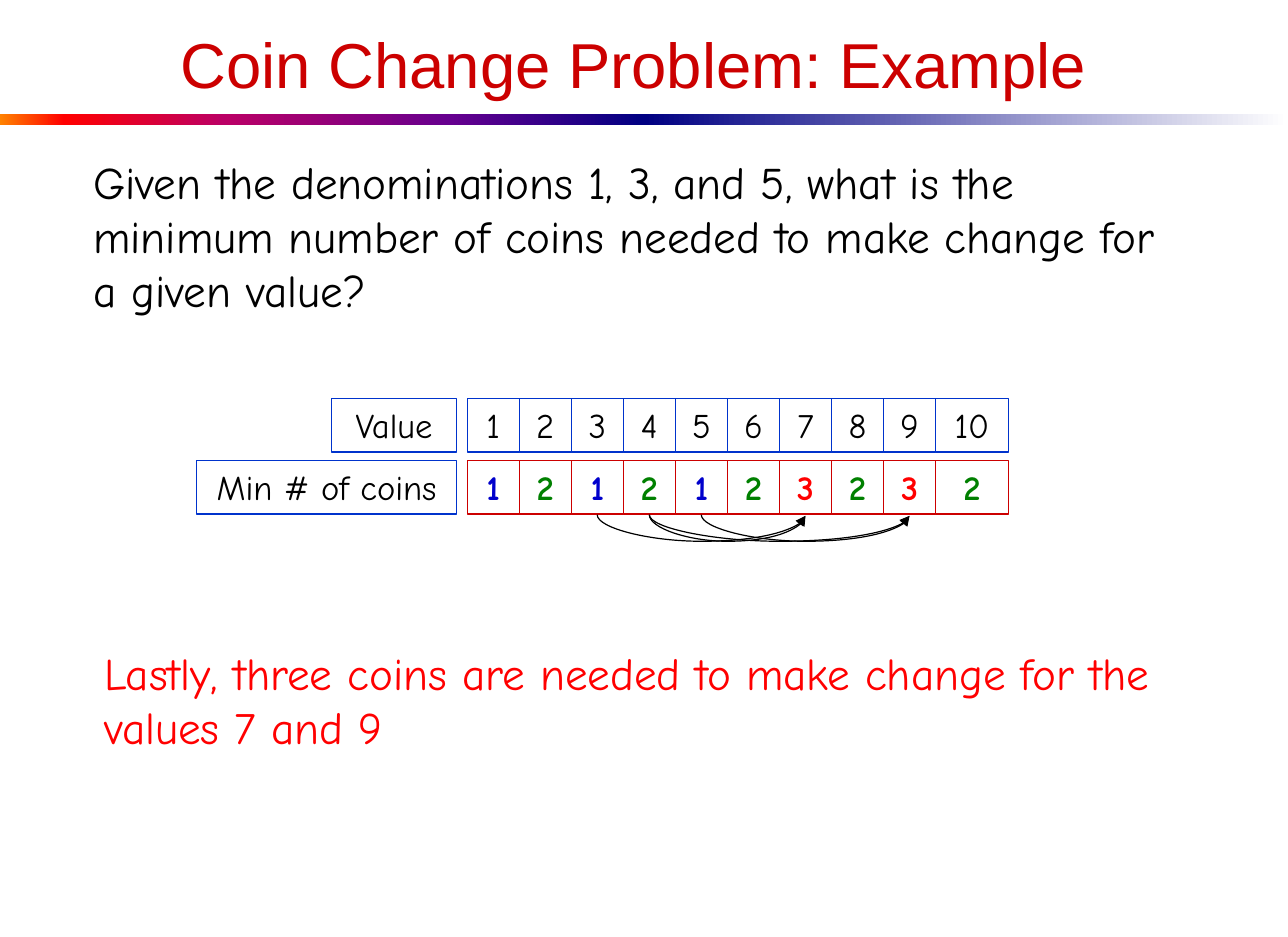
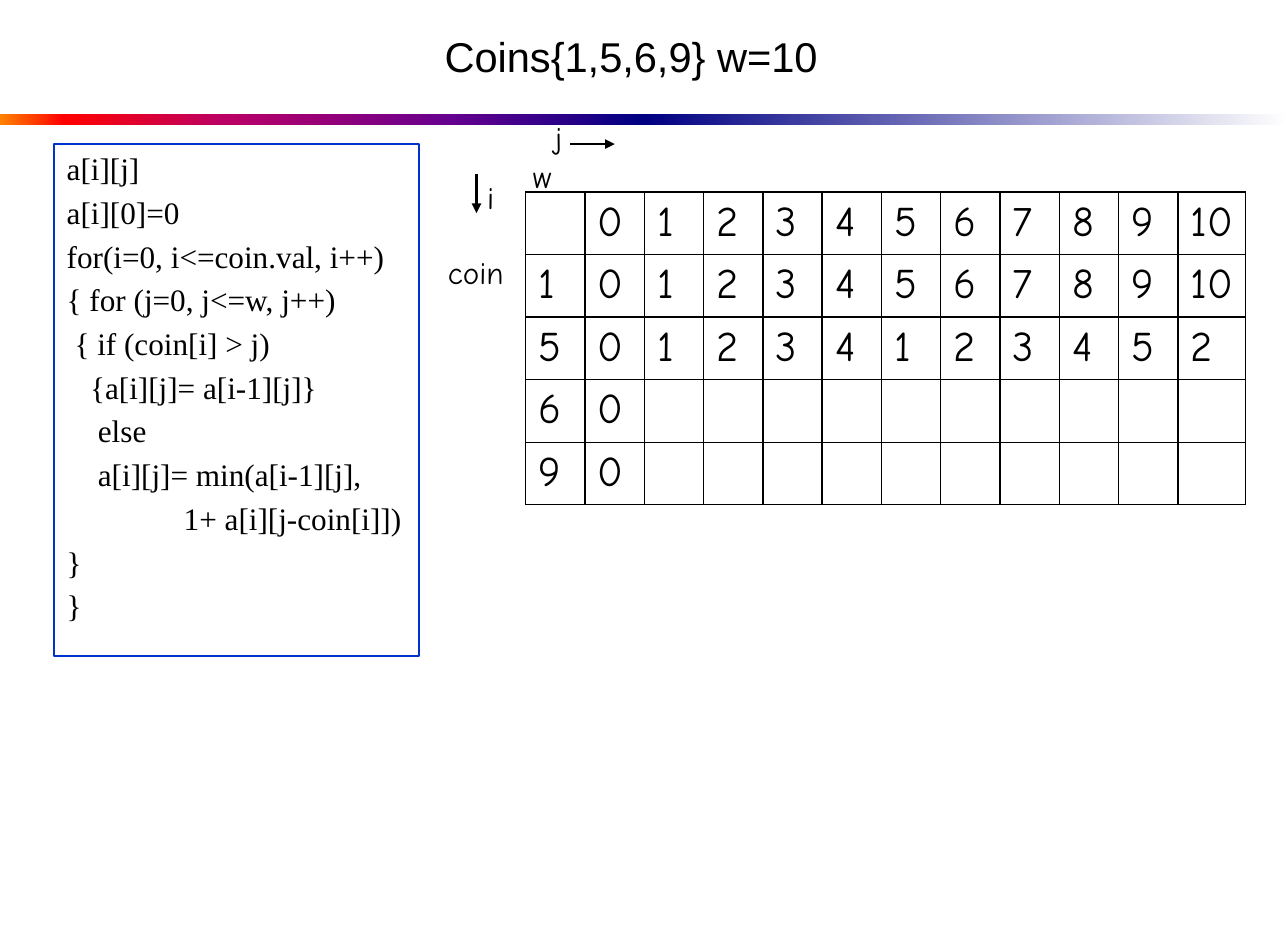
from pptx import Presentation, util as u
from pptx.dml.color import RGBColor
from pptx.enum import shapes, text
from pptx.oxml import parse_xml
from pptx.oxml.ns import nsdecls, qn

BLACK = RGBColor(0, 0, 0)
RED = RGBColor(255, 0, 0)
DARK = RGBColor(204, 0, 0)
GREEN = RGBColor(0, 128, 0)
NAVY = RGBColor(0, 0, 204)
BLUE = RGBColor(0, 51, 204)
MID = text.PP_ALIGN.CENTER
RIGHT = text.PP_ALIGN.RIGHT
COMIC = "Comic Neue"

prs = Presentation()
prs.slide_width, prs.slide_height = u.Inches(11), u.Inches(8)
COL, ROW = prs.slide_width / 11, prs.slide_height / 8


def put(page, words, at, size=21.3, font=COMIC, ink=BLACK, bold=False,
        align=text.PP_ALIGN.LEFT, edge=None, wide=0.75, gap=0, mid=False, pad=0.1):
    x, y, w, h = at
    place = int(x * COL), int(y * ROW), int(w * COL), int(h * ROW)
    if edge is None:
        box = page.shapes.add_textbox(*place)
    else:
        box = page.shapes.add_shape(shapes.MSO_SHAPE.RECTANGLE, *place)
        box.shadow.inherit = False
        box.fill.background()
        box.line.color.rgb = edge
        box.line.width = u.Pt(wide)
    frame = box.text_frame
    frame.word_wrap = True
    frame.margin_left = frame.margin_right = u.Inches(pad)
    frame.vertical_anchor = text.MSO_ANCHOR.MIDDLE if mid else text.MSO_ANCHOR.TOP
    for i, line in enumerate(words.split("\n")):
        para = frame.paragraphs[0] if i == 0 else frame.add_paragraph()
        para.alignment = align
        para.space_before = u.Pt(gap if i else 0)
        run = para.add_run()
        run.text = line
        run.font.name, run.font.size, run.font.bold = font, u.Pt(size), bold
        run.font.color.rgb = ink


def draw(page, kind, x1, y1, x2, y2, wide):
    line = page.shapes.add_connector(
        kind, int(x1 * COL), int(y1 * ROW), int(x2 * COL), int(y2 * ROW))
    line.line.color.rgb = BLACK
    line.line.width = u.Pt(wide)
    props = line._element.spPr
    props.find(qn("a:ln")).append(parse_xml(f'<a:tailEnd {nsdecls("a")} type="triangle"/>'))
    props.append(parse_xml(f'<a:effectLst {nsdecls("a")}/>'))
    return props


first, last = [prs.slides.add_slide(prs.slide_layouts[6]) for _ in range(2)]

BANDS = [
    [(0, "FF8200"), (10, "FF0000"), (35, "BA0066"), (70, "66008F"), (100, "000082")],
    [(0, "000082"), (100, "FFFFFF")],
]
for page in (first, last):
    for i, stops in enumerate(BANDS):
        band = page.shapes.add_shape(
            shapes.MSO_SHAPE.RECTANGLE, int(5.5 * i * COL), int(0.97 * ROW),
            int(5.5 * COL), int(0.1 * ROW))
        band.shadow.inherit = False
        band.line.fill.background()
        band.fill.gradient()
        band.fill.gradient_angle = 0
        marks = band._element.spPr.find(qn("a:gradFill")).find(qn("a:gsLst"))
        for old in list(marks):
            marks.remove(old)
        for pos, hue in stops:
            marks.append(parse_xml(
                f'<a:gs {nsdecls("a")} pos="{pos * 1000}"><a:srgbClr val="{hue}"/></a:gs>'))

put(first, "Coin Change Problem: Example", (0.7, 0.06, 9.42, 0.95),
    size=39, font="Arial", ink=DARK, align=MID, mid=True)
put(first, "Given the denominations 1, 3, and 5, what is the minimum number of coins "
    "needed to make change for a given value?", (0.7, 1.27, 9.42, 1.5), size=27.75)

LEFT, STEP, TALL = 3.99, 4 / 9, 0.46
TOPS = 3.4, 3.93
INKS = {1: NAVY, 2: GREEN, 3: RED}
for i, count in enumerate([1, 2, 1, 2, 1, 2, 3, 2, 3, 2]):
    x, w = LEFT + i * STEP, 0.62 if i == 9 else STEP
    put(first, str(i + 1), (x, TOPS[0], w, TALL), align=MID, edge=BLUE)
    put(first, str(count), (x, TOPS[1], w, TALL), align=MID, edge=DARK,
        ink=INKS[count], bold=True)
for name, top, w in zip(["Value", "Min # of coins"], TOPS, [1.07, 2.22]):
    put(first, name, (3.9 - w, top, w, TALL), align=MID, edge=BLUE)

for start, end in [(4, 7), (3, 7), (5, 9), (4, 9)]:
    x = LEFT + ((start + end) / 2 - 0.5) * STEP
    half = (end - start) * STEP / 2
    props = draw(first, shapes.MSO_CONNECTOR.CURVE, x + 0.005, 4.4 - half,
                 x - 0.005, 4.4 + half, 0.75)
    props.find(qn("a:xfrm")).set("rot", "16200000")
    bend = props.find(qn("a:prstGeom")).find(qn("a:avLst"))
    bend.append(parse_xml(f'<a:gd {nsdecls("a")} name="adj1" fmla="val 2300000"/>'))

put(first, "Lastly, three coins are needed to make change for the values 7 and 9",
    (0.79, 5.46, 9.42, 1.03), size=27.75, ink=RED)

put(last, "Coins{1,5,6,9} w=10", (0.43, 0.02, 9.92, 0.92),
    size=25.6, font="Arial", align=MID, mid=True)
CODE = """a[i][j]
a[i][0]=0
for(i=0, i<=coin.val, i++)
{ for (j=0, j<=w, j++)
 { if (coin[i] > j)
   {a[i][j]= a[i-1][j]}
    else
    a[i][j]= min(a[i-1][j],
               1+ a[i][j-coin[i]])
}
}"""
put(last, CODE, (0.46, 1.23, 3.12, 4.37), size=19.2, font="Times New Roman",
    edge=BLUE, wide=1.25, gap=3.84, pad=0.11)

ROWS = [
    ["", *range(11)],
    [1, *range(11)],
    [5, 0, 1, 2, 3, 4, 1, 2, 3, 4, 5, 2],
    [6, 0],
    [9, 0],
]
grid = last.shapes.add_table(
    5, 12, int(4.49 * COL), int(1.64 * ROW), int(6.15 * COL), int(2.67 * ROW)).table
grid.first_row = grid.horz_banding = False
for i, part in enumerate(grid.columns):
    part.width = int((0.58 if i == 11 else 5.57 / 11) * COL)
for r, vals in enumerate(ROWS):
    for c in range(12):
        cell = grid.cell(r, c)
        cell.margin_left, cell.margin_right = u.Inches(0.11), u.Inches(0.05)
        props = cell._tc.get_or_add_tcPr()
        for side in "LRTB":
            props.append(parse_xml(
                f'<a:ln{side} {nsdecls("a")} w="12700"><a:solidFill>'
                f'<a:srgbClr val="{BLACK}"/></a:solidFill></a:ln{side}>'))
        cell.fill.background()
        if c < len(vals):
            cell.text = str(vals[c])
        font = cell.text_frame.paragraphs[0].font
        font.name, font.size = COMIC, u.Pt(26)
        font.color.rgb = BLACK

for name, right, top in [("j", 4.9, 0.96), ("w", 4.81, 1.29),
                         ("i", 4.32, 1.47), ("coin", 4.4, 2.11)]:
    put(last, name, (right - 0.73, top, 0.73, 0.42), size=19.2, align=RIGHT)
for ends in [(4.87, 1.23, 5.25, 1.23), (4.07, 1.49, 4.07, 1.82)]:
    draw(last, shapes.MSO_CONNECTOR.STRAIGHT, *ends, 1.5)

prs.save("out.pptx")
